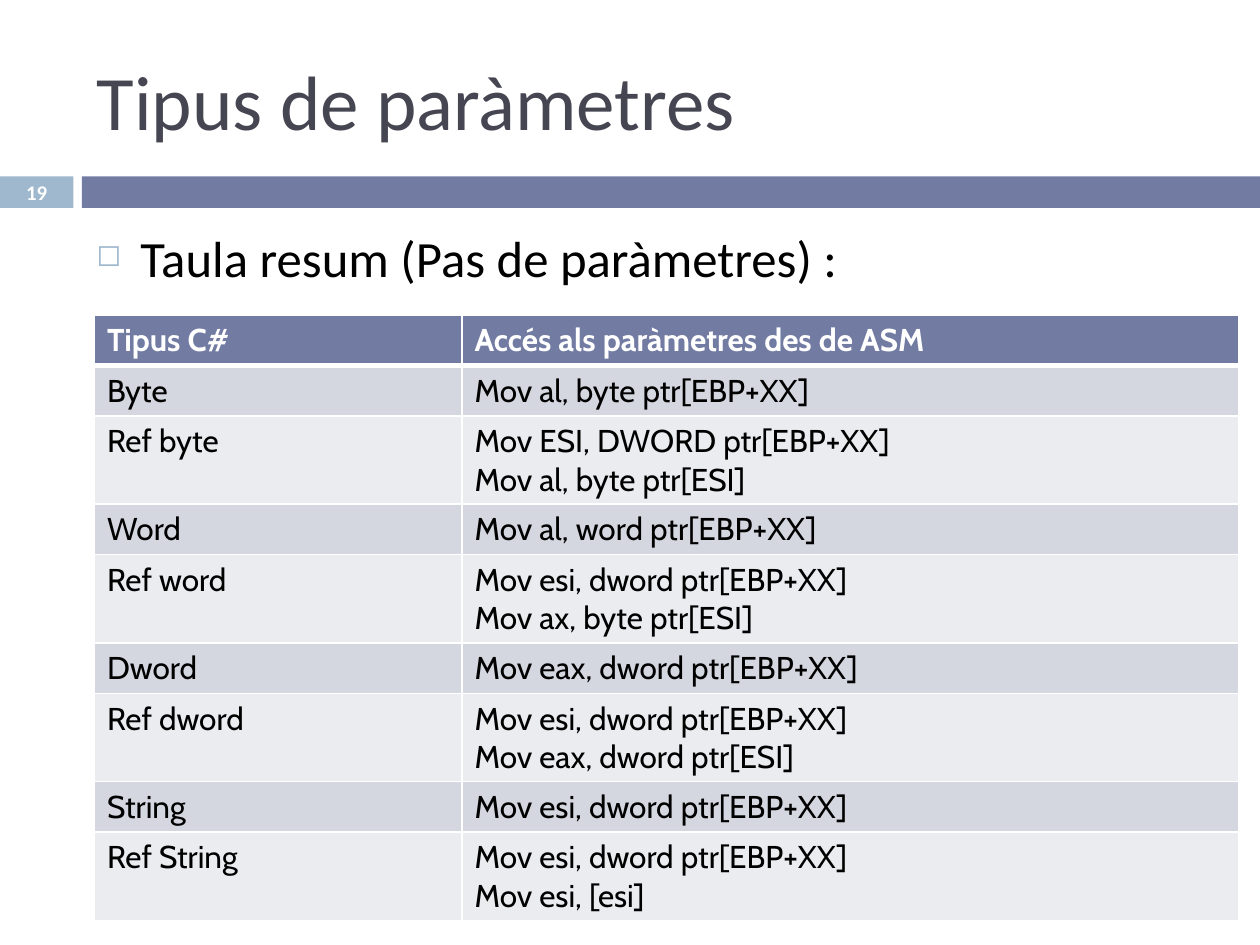
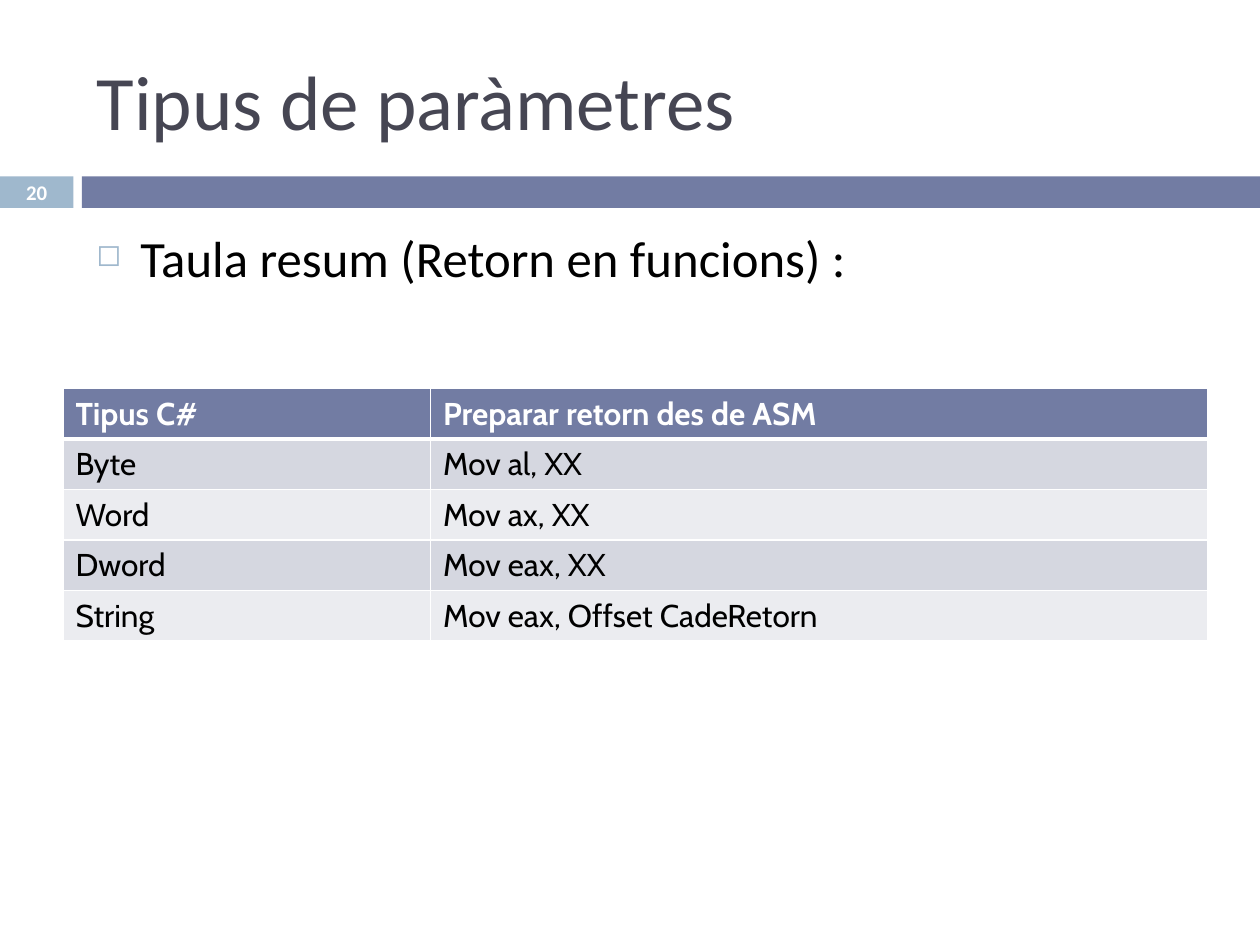
import pptx
import pptx.util
import pptx.dml.color
import pptx.enum.shapes
import pptx.enum.text
import pptx.oxml
import pptx.oxml.ns

RGB = pptx.dml.color.RGBColor
ALIGN = pptx.enum.text.PP_ALIGN
MIDDLE = pptx.enum.text.MSO_ANCHOR.MIDDLE

WHITE = RGB(0xFF, 0xFF, 0xFF)
BLACK = RGB(0x00, 0x00, 0x00)
SLATE = RGB(0x46, 0x46, 0x53)
INDIGO = RGB(0x72, 0x7C, 0xA3)
SKY = RGB(0x9F, 0xB8, 0xCD)
STRIPES = [RGB(0xEB, 0xEC, 0xF0), RGB(0xD5, 0xD7, 0xE0)]

COLS, ROWS = 120, 90  # grid over the whole slide
HEAD_FONT, CELL_FONT = "Calibri", "Cabin"
TYPE_COL, CODE_COL = 35, 74
ROW, LINE = 4.8, 3.6  # one-line table row, each further line

PARAMS = [
    ("Tipus C#", "Accés als paràmetres des de ASM"),
    ("Byte", "Mov al, byte ptr[EBP+XX]"),
    ("Ref byte", "Mov ESI, DWORD ptr[EBP+XX]", "Mov al, byte ptr[ESI]"),
    ("Word", "Mov al, word ptr[EBP+XX]"),
    ("Ref word", "Mov esi, dword ptr[EBP+XX]", "Mov ax, byte ptr[ESI]"),
    ("Dword", "Mov eax, dword ptr[EBP+XX]"),
    ("Ref dword", "Mov esi, dword ptr[EBP+XX]", "Mov eax, dword ptr[ESI]"),
    ("String", "Mov esi, dword ptr[EBP+XX]"),
    ("Ref String", "Mov esi, dword ptr[EBP+XX]", "Mov esi, [esi]"),
]
RETURNS = [
    ("Tipus C#", "Preparar retorn des de ASM"),
    ("Byte", "Mov al, XX"),
    ("Word", "Mov ax, XX"),
    ("Dword", "Mov eax, XX"),
    ("String", "Mov eax, Offset CadeRetorn"),
]


def node(tag, inner="", **attrs):
    """Build one DrawingML element, with optional inner XML."""
    text = "".join(f' {key}="{val}"' for key, val in attrs.items())
    names = pptx.oxml.ns.nsdecls("a")
    return pptx.oxml.parse_xml(f"<a:{tag} {names}{text}>{inner}</a:{tag}>")


def solid(color):
    return f'<a:solidFill><a:srgbClr val="{color}"/></a:solidFill>'


class Deck:
    def __init__(self):
        self.prs = pptx.Presentation()
        self.prs.slide_width = pptx.util.Inches(10)
        self.prs.slide_height = pptx.util.Inches(7.5)
        self.slide = None

    def wide(self, cols):
        return round(self.prs.slide_width * cols / COLS)

    def high(self, rows):
        return round(self.prs.slide_height * rows / ROWS)

    def area(self, x, y, w, h):
        return self.wide(x), self.high(y), self.wide(w), self.high(h)

    def run(self, para, text, size, color, font=HEAD_FONT, bold=False):
        run = para.add_run()
        run.text = text
        run.font.size = pptx.util.Pt(size)
        run.font.name = font
        run.font.bold = bold
        run.font.color.rgb = color

    def band(self, x, w, color):
        kind = pptx.enum.shapes.MSO_SHAPE.RECTANGLE
        shape = self.slide.shapes.add_shape(kind, *self.area(x, 16.8, w, 3))
        shape.shadow.inherit = False
        shape.fill.solid()
        shape.fill.fore_color.rgb = color
        shape.line.fill.background()

    def box(self, *area):
        frame = self.slide.shapes.add_textbox(*self.area(*area)).text_frame
        frame.word_wrap = True
        return frame

    def title(self, text):
        shape = self.slide.shapes.title
        shape.left, shape.top, shape.width, shape.height = self.area(8, 3, 107, 13)
        frame = shape.text_frame
        frame.vertical_anchor = MIDDLE
        para = frame.paragraphs[0]
        para.alignment = ALIGN.LEFT
        self.run(para, text, 44, SLATE)

    def number(self, num):
        frame = self.box(0, 16.7, 7, 3.2)
        frame.vertical_anchor = MIDDLE
        para = frame.paragraphs[0]
        para.alignment = ALIGN.CENTER
        self.run(para, str(num), 11.9, WHITE, bold=True)

    def page(self, num, title):
        """Start a slide with its title, bands and number."""
        self.slide = self.prs.slides.add_slide(self.prs.slide_layouts[5])
        self.band(0, 7, SKY)
        self.band(7.8, COLS - 7.8, INDIGO)
        self.title(title)
        self.number(num)

    def bullet(self, text):
        para = self.box(8, 21, 107, 59).paragraphs[0]
        para.space_before = pptx.util.Pt(7)
        props = para._p.get_or_add_pPr()
        indent = self.wide(4.2)
        props.set("marL", str(indent))
        props.set("indent", str(-indent))
        props.append(node("buClr", f'<a:srgbClr val="{SKY}"/>'))
        props.append(node("buSzPct", val=60000))
        props.append(node("buChar", char="◻"))
        self.run(para, text, 29, BLACK)

    def cell(self, cell, lines, row):
        head = row == 0
        props = cell._tc.get_or_add_tcPr()
        edges = {"L": 1, "R": 1, "T": 3 if row == 1 else 1, "B": 3 if head else 1}
        for side, width in edges.items():
            props.append(node("ln" + side, solid(WHITE), w=pptx.util.Pt(width)))
        cell.fill.solid()
        cell.fill.fore_color.rgb = INDIGO if head else STRIPES[row % 2]
        frame = cell.text_frame
        for i, line in enumerate(lines):
            para = frame.add_paragraph() if i else frame.paragraphs[0]
            self.run(para, line, 18, WHITE if head else BLACK, CELL_FONT, head)

    def table(self, x, y, data):
        """Draw rows of a type and its lines of code."""
        highs = [ROW + LINE * (len(code) - 1) for _, *code in data]
        area = self.area(x, y, TYPE_COL + CODE_COL, sum(highs))
        table = self.slide.shapes.add_table(len(data), 2, *area).table
        for col, width in zip(table.columns, (TYPE_COL, CODE_COL)):
            col.width = self.wide(width)
        for row, (kind, *code) in enumerate(data):
            table.rows[row].height = self.high(highs[row])
            self.cell(table.cell(row, 0), [kind], row)
            self.cell(table.cell(row, 1), code, row)


def main():
    deck = Deck()
    pages = [
        ("Taula resum (Pas de paràmetres) :", 9, 30, PARAMS),
        ("Taula resum (Retorn en funcions) :", 6, 37, RETURNS),
    ]
    for num, (text, x, y, data) in enumerate(pages, 19):
        deck.page(num, "Tipus de paràmetres")
        deck.bullet(text)
        deck.table(x, y, data)
    deck.prs.save("out.pptx")


if __name__ == "__main__":
    main()
